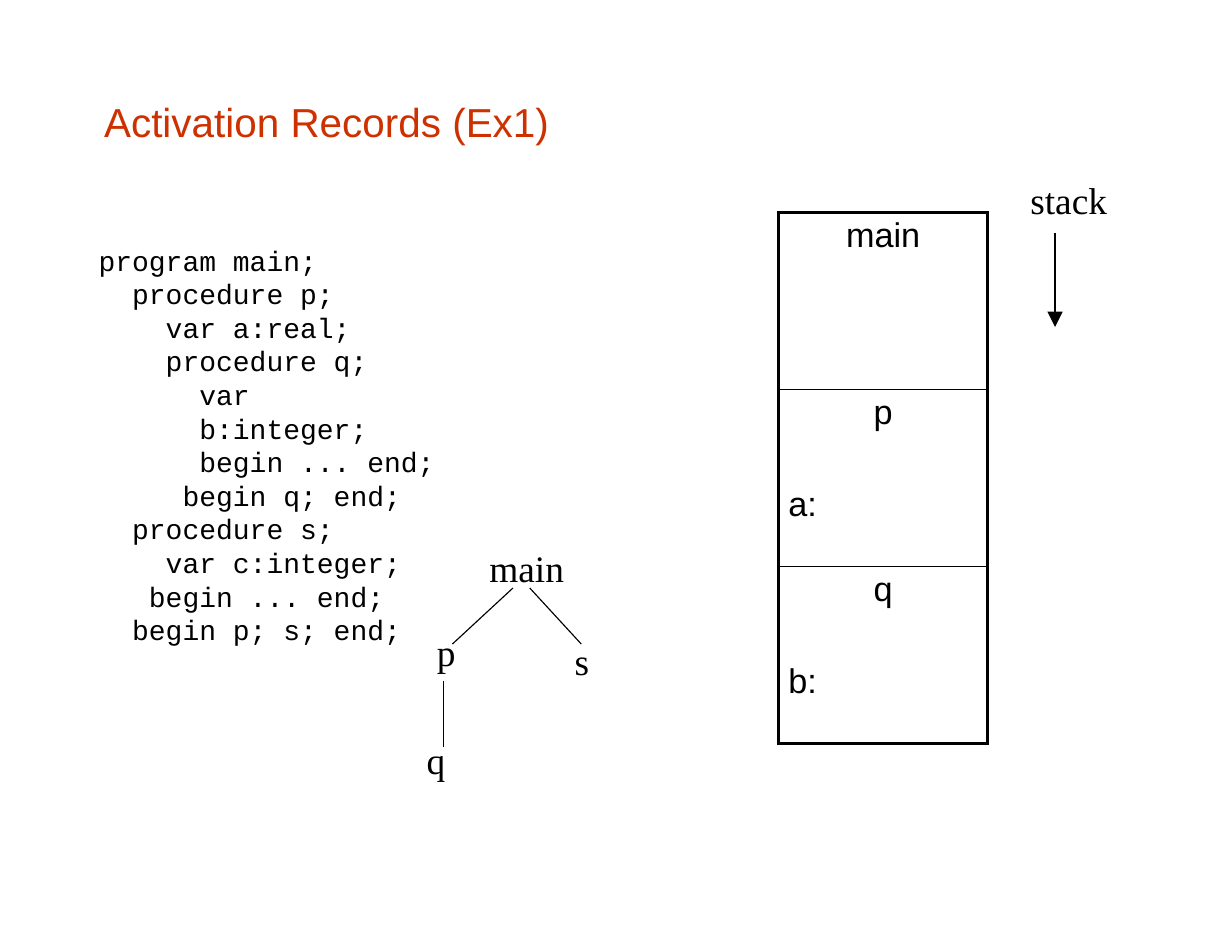
import pptx
import pptx.dml.color
import pptx.enum.shapes
import pptx.enum.text
import pptx.oxml
import pptx.oxml.ns
import pptx.util

ALIGN = pptx.enum.text.PP_ALIGN
color_of = pptx.dml.color.RGBColor.from_string
BLACK = "000000"


def grid(*steps):
    """Turn steps of the 110 by 85 slide grid into lengths."""
    return [pptx.util.Inches(step / 10) for step in steps]


def write(frame, text, font, size, color=BLACK, align=ALIGN.LEFT, before=None, leading=None):
    """Write one paragraph, filling the empty first one before adding more."""
    paragraph = frame.paragraphs[0]
    if paragraph.runs:
        paragraph = frame.add_paragraph()
    run = paragraph.add_run()
    run.text = text
    run.font.name = font
    run.font.size = pptx.util.Pt(size)
    run.font.color.rgb = color_of(color)
    paragraph.alignment = align
    if before:
        paragraph.space_before = pptx.util.Pt(before)
    if leading:
        paragraph.line_spacing = pptx.util.Pt(leading)


presentation = pptx.Presentation()
presentation.slide_width, presentation.slide_height = grid(110, 85)
slide = presentation.slides.add_slide(presentation.slide_layouts[6])

# Title, program and labels: left, top, width, height, lines, format
title = {"font": "Arial", "size": 26, "color": "CD3100"}
code = {"font": "Courier New", "size": 18, "leading": 21.6}
label = {"font": "Times New Roman", "size": 24}
program = [
    "program main;",
    "  procedure p;",
    "    var a:real;",
    "    procedure q;",
    "      var",
    "      b:integer;",
    "      begin ... end;",
    "     begin q; end;",
    "  procedure s;",
    "    var c:integer;",
    "   begin ... end;",
    "  begin p; s; end;",
]
texts = [
    (9.3, 8.7, 91.6, 4.6, ["Activation Records (Ex1)"], title),
    (8.8, 21.7, 31, 36, program, code),
    (92, 15.8, 8, 4.2, ["stack"], label),
    (43.7, 48.7, 8, 4.2, ["main"], label),
    (39, 56.2, 2, 4.2, ["p"], label),
    (38.1, 65.8, 2, 4.2, ["q"], label),
    (51.3, 57, 2, 4.2, ["s"], label),
]
for left, top, width, height, lines, text_format in texts:
    frame = slide.shapes.add_textbox(*grid(left, top, width, height)).text_frame
    frame.word_wrap = True
    frame.margin_left = frame.margin_top = frame.margin_right = frame.margin_bottom = 0
    for line in lines:
        write(frame, line, **text_format)

# Stack of activation records
records = [("main", None), ("p", "a:"), ("q", "b:")]
table_frame = slide.shapes.add_table(len(records), 1, *grid(69.5, 19, 18.7, 47.4))
table = table_frame.table
for index, (name, variable) in enumerate(records):
    cell = table.cell(index, 0)
    cell.margin_left, cell.margin_top, cell.margin_right, cell.margin_bottom = grid(0.9, 0.3, 0.9, 0)
    write(cell.text_frame, name, "Arial", 22, align=ALIGN.CENTER)
    if variable:
        write(cell.text_frame, variable, "Arial", 22, before=35)
    borders = {
        "lnL": 2.25,
        "lnR": 2.25,
        "lnT": 2.25 if index == 0 else 1,
        "lnB": 2.25 if index == len(records) - 1 else 1,
    }
    properties = cell._tc.get_or_add_tcPr()
    for side, width in borders.items():
        properties.append(pptx.oxml.parse_xml(
            f'<a:{side} {pptx.oxml.ns.nsdecls("a")} w="{pptx.util.Pt(width)}">'
            f'<a:solidFill><a:srgbClr val="{BLACK}"/></a:solidFill></a:{side}>'
        ))
    cell.fill.background()

# Call tree branches and the direction of stack growth
lines = [
    (45.8, 52.5, 40.4, 57.5, False),
    (47.3, 52.5, 51.9, 57.5, False),
    (39.6, 60.8, 39.6, 66.7, False),
    (94.2, 20.8, 94.2, 29.2, True),
]
for start_x, start_y, end_x, end_y, has_arrow in lines:
    connector = slide.shapes.add_connector(
        pptx.enum.shapes.MSO_CONNECTOR.STRAIGHT, *grid(start_x, start_y, end_x, end_y)
    )
    connector.line.width = pptx.util.Pt(0.75)
    connector.line.color.rgb = color_of(BLACK)
    if has_arrow:
        connector.line._get_or_add_ln().append(pptx.oxml.parse_xml(
            f'<a:tailEnd {pptx.oxml.ns.nsdecls("a")} type="triangle" w="lg" len="lg"/>'
        ))
    connector._element.spPr.append(
        pptx.oxml.parse_xml(f'<a:effectLst {pptx.oxml.ns.nsdecls("a")}/>')
    )

presentation.save("out.pptx")
